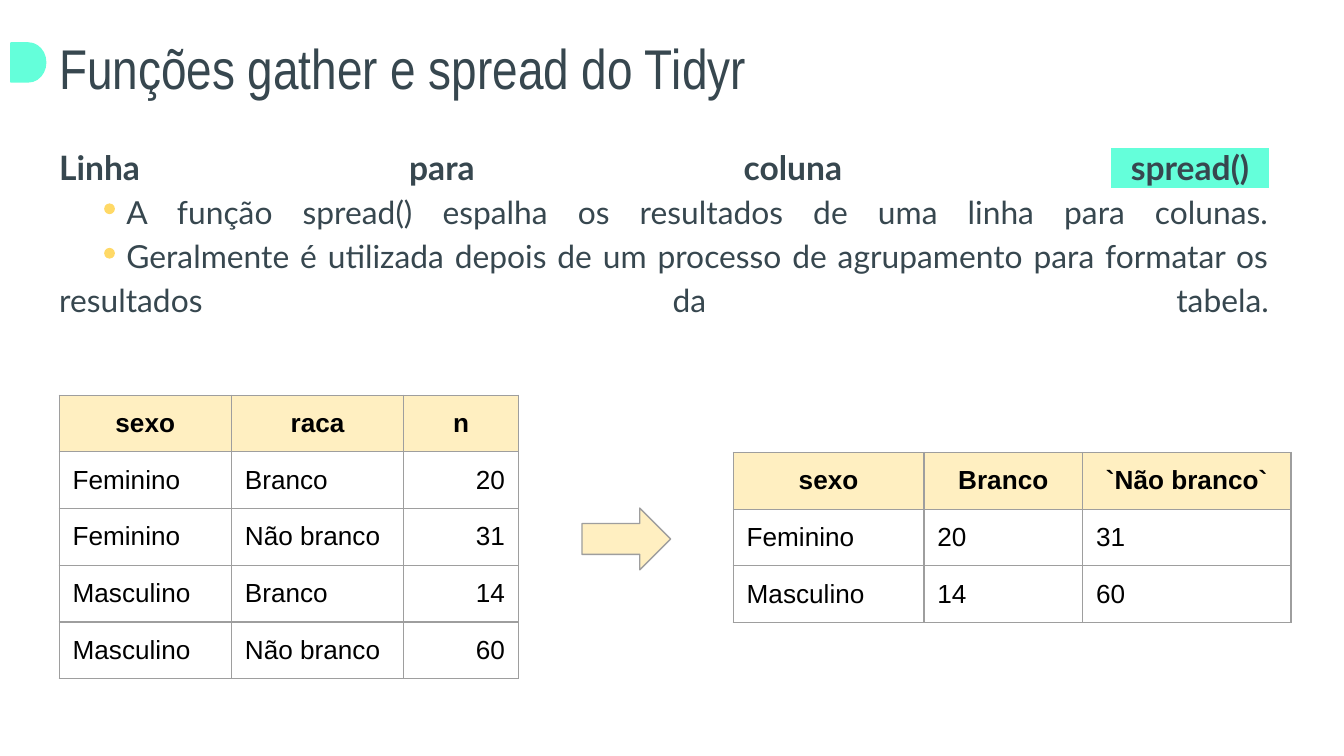
from lxml import etree
from pptx import Presentation
from pptx.dml.color import RGBColor
from pptx.enum.shapes import MSO_SHAPE
from pptx.enum.text import MSO_ANCHOR, MSO_AUTO_SIZE, PP_ALIGN
from pptx.oxml.ns import qn
from pptx.util import Pt

DELAY, DOT, ARROW = MSO_SHAPE.FLOWCHART_DELAY, MSO_SHAPE.OVAL, MSO_SHAPE.RIGHT_ARROW
TOP, MIDDLE = MSO_ANCHOR.TOP, MSO_ANCHOR.MIDDLE
LEFT, CENTER, RIGHT, JUSTIFY = PP_ALIGN.LEFT, PP_ALIGN.CENTER, PP_ALIGN.RIGHT, PP_ALIGN.JUSTIFY
FIXED = MSO_AUTO_SIZE.NONE
INK, MINT, GOLD, GRAY = "37474F", "64FFDA", "FFD966", "9E9E9E"
PAD = Pt(7.2)


def paint(fill, color, alpha=None):
    fill.solid()
    fill.fore_color.rgb = RGBColor.from_string(color)
    if alpha:
        tint = next(fill._xPr.iter(qn("a:srgbClr")))
        etree.SubElement(tint, qn("a:alpha")).set("val", str(alpha * 1000))


def write(par, text, size=14, font="Arial", color="000000", bold=False, mark=None):
    run = par.add_run()
    run.text = text
    run.font.size, run.font.name, run.font.bold = Pt(size), font, bold
    paint(run.font.fill, color)
    if mark:
        glow = etree.Element(qn("a:highlight"))
        etree.SubElement(glow, qn("a:srgbClr")).set("val", mark)
        run.font._element.find(qn("a:solidFill")).addnext(glow)


prs = Presentation()
prs.slide_width, prs.slide_height = Pt(720), Pt(405)
slide = prs.slides.add_slide(prs.slide_layouts[1])
title, body = slide.placeholders

# Title and body frames
for holder, box, align in (
    (title, (24.5, 10.8, 671, 45.4), LEFT),
    (body, (24.5, 68.4, 662.4, 321.8), JUSTIFY),
):
    holder.left, holder.top, holder.width, holder.height = map(Pt, box)
    frame = holder.text_frame
    frame.word_wrap, frame.auto_size, frame.vertical_anchor = True, FIXED, TOP
    frame.margin_left = frame.margin_right = frame.margin_top = frame.margin_bottom = PAD
    frame.paragraphs[0].alignment = align

write(title.text_frame.paragraphs[0], "Funções gather e spread do Tidyr",
      size=30, font="Arial Narrow", color=INK)

# Body: line breaks keep every line justified to the full width
par = body.text_frame.paragraphs[0]
par.line_spacing, par.space_before = 1.15, Pt(0)
props = par._p.get_or_add_pPr()
props.set("marL", "0")
props.set("indent", "0")
etree.SubElement(props, qn("a:buNone"))
for text, color, bold, mark in (
    ("Linha para coluna ", INK, True, None),
    ("+", MINT, False, MINT),
    ("spread()", INK, True, MINT),
    ("+", MINT, True, MINT),
):
    write(par, text, size=18, font="Lato", color=color, bold=bold, mark=mark)
par.add_line_break()
for text in (
    "\tA função spread() espalha os resultados de uma linha para colunas.",
    "\tGeralmente é utilizada depois de um processo de agrupamento "
    "para formatar os resultados da tabela.",
):
    write(par, text, size=17, font="Lato", color=INK)
    par.add_line_break()

# Title tab, bullet dots and arrow
for kind, box, color, edge, alpha in (
    (DELAY, (5.8, 23, 18.7, 20.9), MINT, MINT, None),
    (DOT, (56.2, 109.4, 5, 5), GOLD, GOLD, None),
    (DOT, (56.2, 133.2, 5, 5), GOLD, GOLD, None),
    (ARROW, (311.8, 272.2, 47.5, 33.1), GOLD, GRAY, 40),
):
    shape = slide.shapes.add_shape(kind, *map(Pt, box))
    shape.shadow.inherit = False
    paint(shape.fill, color, alpha)
    paint(shape.line.fill, edge)
    shape.line.width = Pt(0.75)

# Tables before and after spread()
long = (
    ("sexo", "raca", "n"),
    ("Feminino", "Branco", "20"),
    ("Feminino", "Não branco", "31"),
    ("Masculino", "Branco", "14"),
    ("Masculino", "Não branco", "60"),
)
wide = (
    ("sexo", "Branco", "`Não branco`"),
    ("Feminino", "20", "31"),
    ("Masculino", "14", "60"),
)
HIGH = 30.4
for rows, left, top, widths, aligns in (
    (long, 31.7, 211.7, (92.3, 92.3, 61.4), (LEFT, LEFT, RIGHT)),
    (wide, 392.8, 242.4, (102.2, 85, 111.6), (LEFT, LEFT, LEFT)),
):
    table = slide.shapes.add_table(len(rows), len(widths), Pt(left), Pt(top),
                                   Pt(sum(widths)), Pt(HIGH * len(rows))).table
    table.first_row = table.horz_banding = False
    for col, width in zip(table.columns, widths):
        col.width = Pt(width)
    for r, row in enumerate(rows):
        head = r == 0
        table.rows[r].height = Pt(HIGH)
        for c, text in enumerate(row):
            cell = table.cell(r, c)
            cell.margin_left = cell.margin_right = cell.margin_top = cell.margin_bottom = PAD
            cell.vertical_anchor = MIDDLE if head else TOP
            par = cell.text_frame.paragraphs[0]
            par.alignment = CENTER if head else aligns[c]
            write(par, text, bold=head)
            if head:
                paint(cell.fill, GOLD, 40)
            else:
                cell.fill.background()
            # Borders come before the fill in the cell properties
            props = cell._tc.get_or_add_tcPr()
            for i, side in enumerate(("lnL", "lnR", "lnT", "lnB")):
                line = etree.Element(qn("a:" + side), w=str(Pt(0.75)))
                fill = etree.SubElement(line, qn("a:solidFill"))
                etree.SubElement(fill, qn("a:srgbClr")).set("val", GRAY)
                props.insert(i, line)

prs.save("out.pptx")
